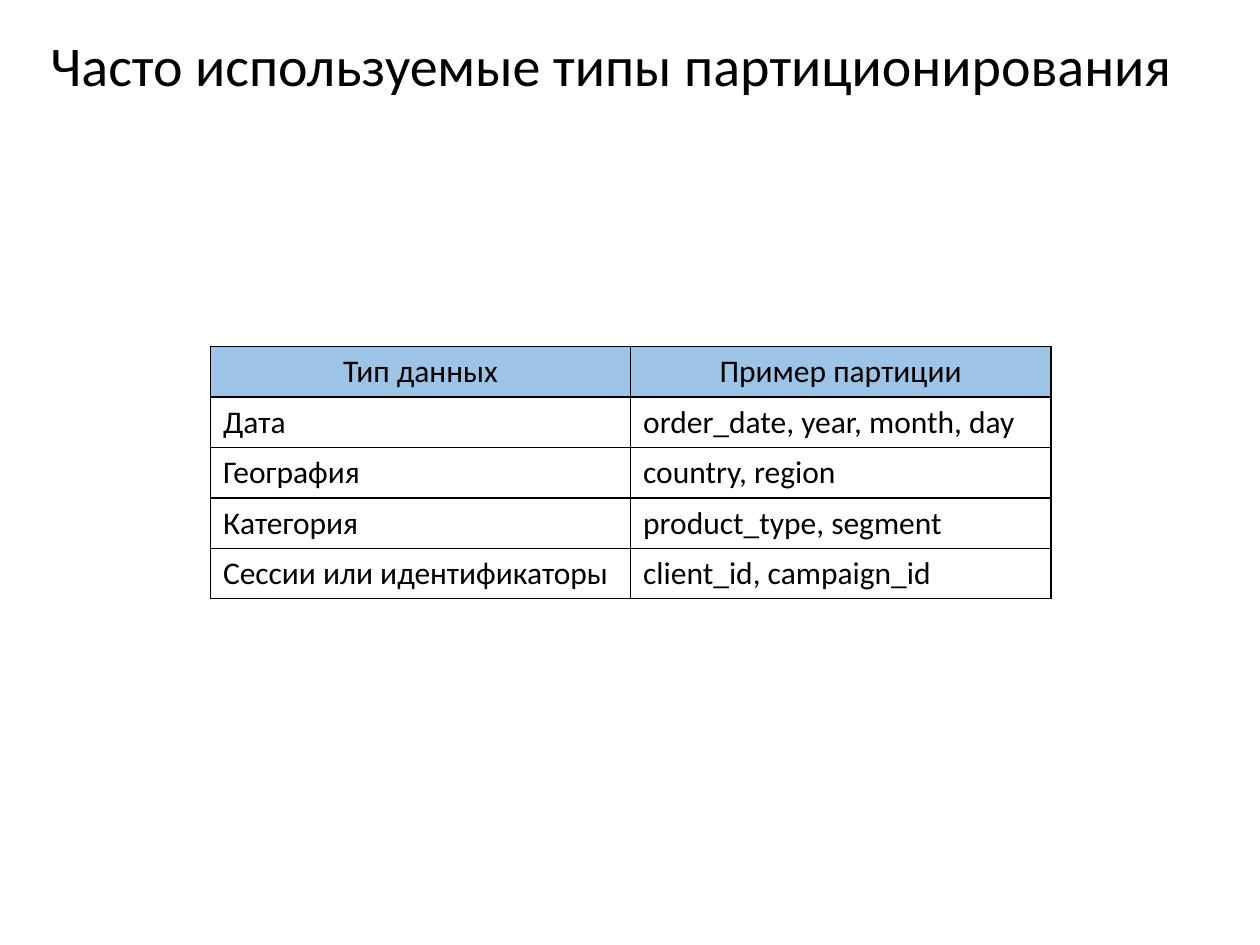
from dataclasses import dataclass
from typing import Any

from lxml.etree import SubElement
from pptx import Presentation
from pptx.dml.color import RGBColor
from pptx.enum.text import MSO_ANCHOR, MSO_AUTO_SIZE, PP_ALIGN
from pptx.oxml.ns import qn
from pptx.util import Inches, Pt


@dataclass(frozen=True)
class Theme:
    font: str = "Calibri"
    text: str = "000000"
    border: str = "000000"
    header: str = "9DC3E6"
    title_size: int = 32
    table_size: int = 18
    border_width: int = 1


@dataclass(frozen=True)
class PartitionType:
    data_type: str
    example: str


THEME = Theme()
TITLE = "Часто используемые типы партиционирования"
HEADER = PartitionType("Тип данных", "Пример партиции")
PARTITION_TYPES = [
    PartitionType("Дата", "order_date, year, month, day"),
    PartitionType("География", "country, region"),
    PartitionType("Категория", "product_type, segment"),
    PartitionType("Сессии или идентификаторы", "client_id, campaign_id"),
]


def write_text(
    text_frame: Any,
    text: str,
    *,
    size: int,
    align: PP_ALIGN = PP_ALIGN.LEFT,
    line_spacing: float = 1.0,
) -> None:
    paragraph = text_frame.paragraphs[0]
    paragraph.alignment = align
    paragraph.line_spacing = line_spacing
    run = paragraph.add_run()
    run.text = text
    run.font.name = THEME.font
    run.font.size = Pt(size)
    run.font.bold = False
    run.font.color.rgb = RGBColor.from_string(THEME.text)


def add_borders(cell: Any) -> None:
    properties = cell._tc.get_or_add_tcPr()
    for side in ("a:lnL", "a:lnR", "a:lnT", "a:lnB"):
        line = SubElement(properties, qn(side), w=str(Pt(THEME.border_width)))
        fill = SubElement(line, qn("a:solidFill"))
        SubElement(fill, qn("a:srgbClr"), val=THEME.border)


def draw_title(slide: Any) -> None:
    title = slide.shapes.title
    title.left, title.top = Inches(0.4), Inches(0.29)
    title.width, title.height = Inches(9.1), Inches(0.5)
    frame = title.text_frame
    frame.margin_left = frame.margin_right = frame.margin_bottom = 0
    frame.margin_top = Inches(0.01)
    frame.word_wrap = True
    frame.auto_size = MSO_AUTO_SIZE.SHAPE_TO_FIT_TEXT
    frame.vertical_anchor = MSO_ANCHOR.MIDDLE
    write_text(frame, TITLE, size=THEME.title_size, line_spacing=0.9)


def draw_table(slide: Any, rows: list[PartitionType]) -> None:
    table = slide.shapes.add_table(
        len(rows), 2, Inches(1.67), Inches(2.75), Inches(6.67), Inches(0.4) * len(rows)
    ).table
    table.first_row = table.horz_banding = False
    for row_index, row in enumerate(rows):
        is_header = row_index == 0
        for column_index, text in enumerate((row.data_type, row.example)):
            cell = table.cell(row_index, column_index)
            cell.vertical_anchor = MSO_ANCHOR.MIDDLE
            add_borders(cell)
            if is_header:
                cell.fill.solid()
                cell.fill.fore_color.rgb = RGBColor.from_string(THEME.header)
            else:
                cell.fill.background()
            align = PP_ALIGN.CENTER if is_header else PP_ALIGN.LEFT
            write_text(cell.text_frame, text, size=THEME.table_size, align=align)


def main() -> None:
    """Build the slide on common partitioning types."""
    presentation = Presentation()
    presentation.slide_width, presentation.slide_height = Inches(10), Inches(7.5)
    slide = presentation.slides.add_slide(presentation.slide_layouts[5])
    draw_title(slide)
    draw_table(slide, [HEADER, *PARTITION_TYPES])
    presentation.save("out.pptx")


if __name__ == "__main__":
    main()
